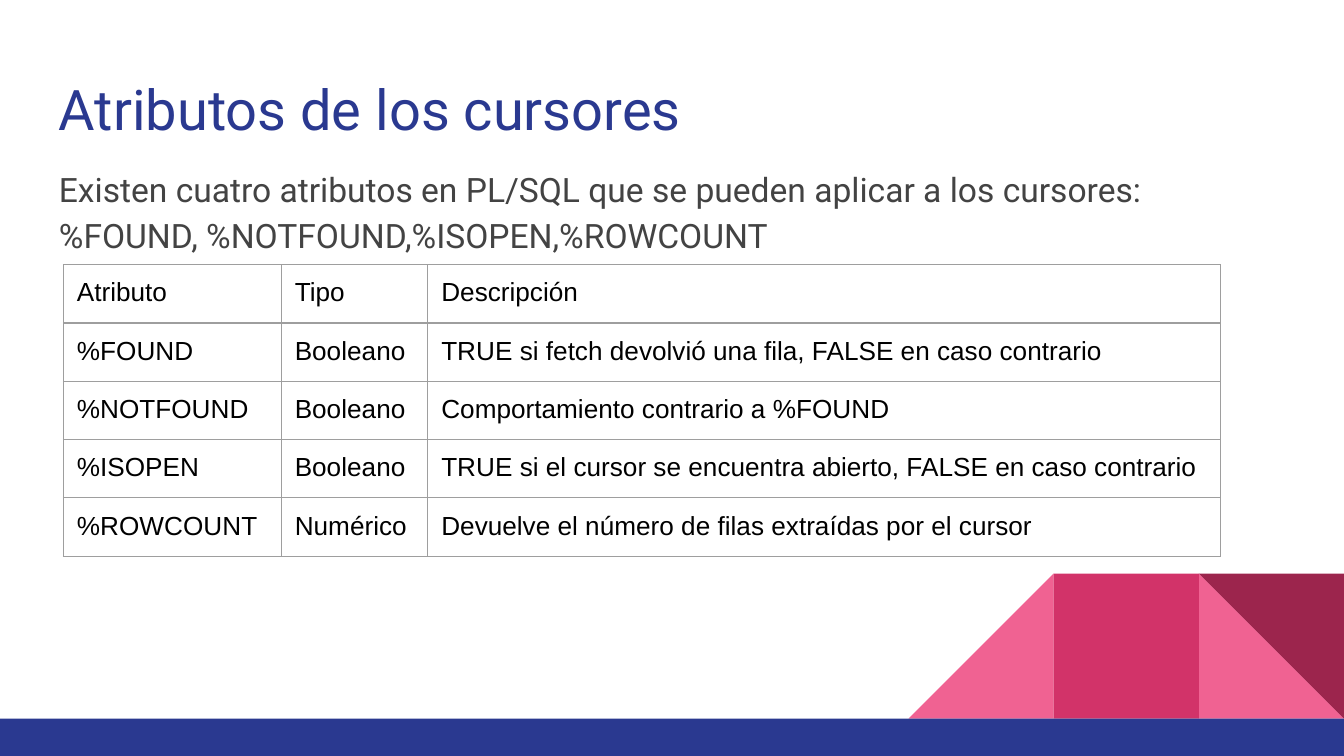
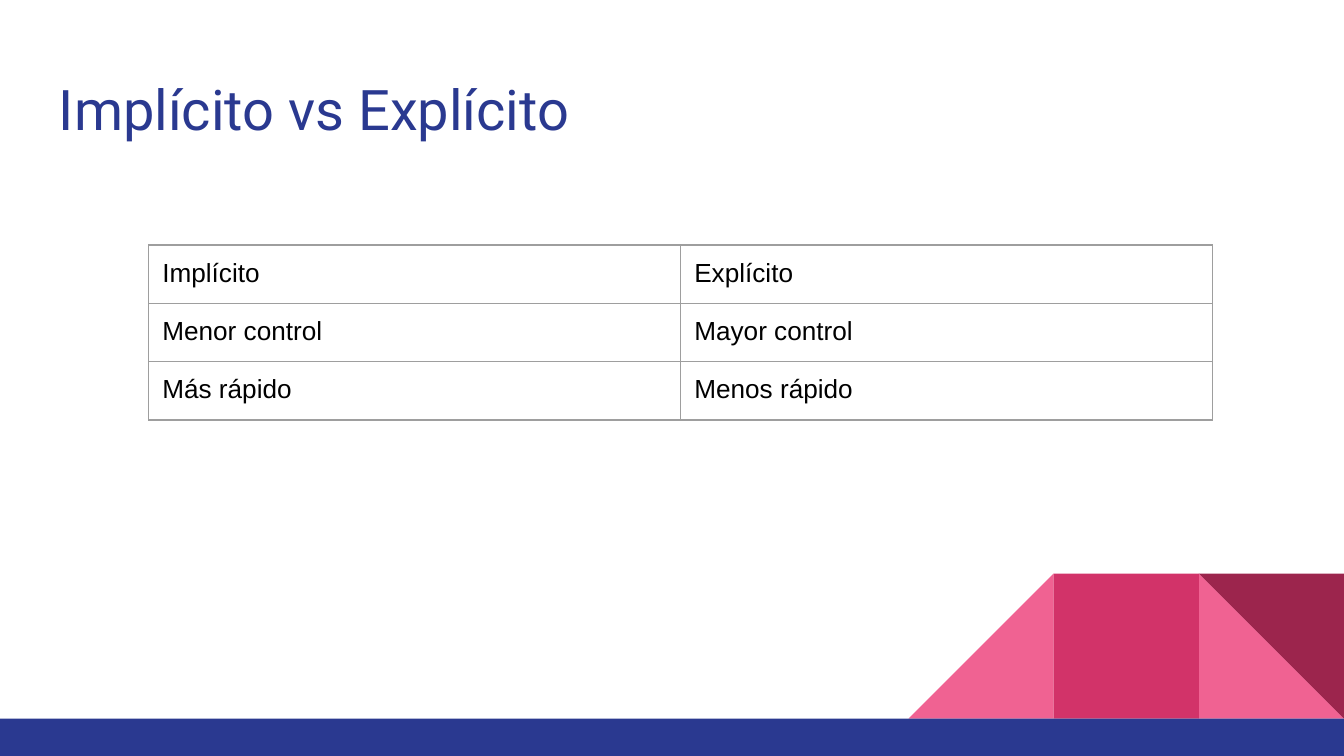
from pptx import Presentation
from pptx.dml.color import RGBColor
from pptx.enum.shapes import MSO_SHAPE
from pptx.oxml.ns import qn
from pptx.util import Pt
from lxml import etree

RECTANGLE = MSO_SHAPE.RECTANGLE
TRIANGLE = MSO_SHAPE.RIGHT_TRIANGLE

BLUE = RGBColor(0x2A, 0x39, 0x90)
PINK = RGBColor(0xF0, 0x62, 0x92)
CRIMSON = RGBColor(0xD2, 0x33, 0x69)
WINE = RGBColor(0x9C, 0x25, 0x4D)
GRAY = RGBColor(0x43, 0x43, 0x43)
BORDER = RGBColor(0x9E, 0x9E, 0x9E)
BLACK = RGBColor(0, 0, 0)

WIDTH, HEIGHT = 720, 405
BAND_TOP = 385
TILE = 77.75
INSET = 7.2
ROW_HEIGHT = 30
TEXT_LEFT, TEXT_WIDTH = 24.5, 671


class Deck:
    """Holds the shared style and the slide being built."""

    def __init__(self):
        self.presentation = Presentation()
        self.presentation.slide_width = Pt(WIDTH)
        self.presentation.slide_height = Pt(HEIGHT)
        self.slide = None

    def new_slide(self, title):
        self.slide = self.presentation.slides.add_slide(self.presentation.slide_layouts[6])
        self.decoration()
        self.text(title, 32.5, 47.5, 30, BLUE)

    def decoration(self):
        top = BAND_TOP - TILE
        left, middle, right = (WIDTH - count * TILE for count in (3, 2, 1))
        self.block(TRIANGLE, right, top, TILE, TILE, PINK)
        slope = self.block(TRIANGLE, left, top, TILE, TILE, PINK)
        slope.element.spPr.get_or_add_xfrm().set("flipH", "1")
        self.block(RECTANGLE, middle, top, TILE, TILE, CRIMSON)
        self.block(TRIANGLE, right, top, TILE, TILE, WINE).rotation = 180
        self.block(RECTANGLE, 0, BAND_TOP, WIDTH, HEIGHT - BAND_TOP, BLUE)

    def block(self, preset, left, top, width, height, color):
        block = self.slide.shapes.add_shape(preset, Pt(left), Pt(top), Pt(width), Pt(height))
        block.shadow.inherit = False
        block.fill.solid()
        block.fill.fore_color.rgb = color
        block.line.fill.background()
        return block

    def text(self, wording, top, height, size, color):
        box = self.slide.shapes.add_textbox(Pt(TEXT_LEFT), Pt(top), Pt(TEXT_WIDTH), Pt(height))
        frame = box.text_frame
        frame.word_wrap = True
        frame.margin_left = frame.margin_right = Pt(INSET)
        frame.margin_top = frame.margin_bottom = Pt(INSET)
        paragraph = frame.paragraphs[0]
        self.style_text(paragraph, wording, "Roboto", size, color)
        return paragraph

    def style_text(self, paragraph, wording, font, size, color):
        paragraph.text = wording
        paragraph.font.name = font
        paragraph.font.size = Pt(size)
        paragraph.font.color.rgb = color

    def table(self, left, top, widths, rows):
        table = self.slide.shapes.add_table(
            len(rows), len(widths), Pt(left), Pt(top),
            Pt(sum(widths)), Pt(ROW_HEIGHT * len(rows))).table
        table.first_row = table.horz_banding = False
        for column, width in zip(table.columns, widths):
            column.width = Pt(width)
        for row, wordings in zip(table.rows, rows):
            row.height = Pt(ROW_HEIGHT)
            for cell, wording in zip(row.cells, wordings):
                self.cell(cell, wording)

    def cell(self, cell, wording):
        cell.margin_left = cell.margin_right = Pt(INSET)
        cell.margin_top = cell.margin_bottom = Pt(INSET)
        self.style_text(cell.text_frame.paragraphs[0], wording, "Arial", 14, BLACK)
        properties = cell._tc.get_or_add_tcPr()
        for side in ("a:lnL", "a:lnR", "a:lnT", "a:lnB"):
            line = etree.SubElement(properties, qn(side), w=str(Pt(0.75)))
            fill = etree.SubElement(line, qn("a:solidFill"))
            etree.SubElement(fill, qn("a:srgbClr"), val=str(BORDER))
        cell.fill.background()

    def save(self):
        self.presentation.save("out.pptx")


def main():
    deck = Deck()

    deck.new_slide("Atributos de los cursores")
    intro = deck.text(
        "Existen cuatro atributos en PL/SQL que se pueden aplicar a los cursores: "
        "%FOUND, %NOTFOUND,%ISOPEN,%ROWCOUNT", 80, 263, 18, GRAY)
    intro.line_spacing = 1.15
    intro.space_after = Pt(16)
    deck.table(34, 141.75, (116.75, 78.5, 424.75), (
        ("Atributo", "Tipo", "Descripción"),
        ("%FOUND", "Booleano", "TRUE si fetch devolvió una fila, FALSE en caso contrario"),
        ("%NOTFOUND", "Booleano", "Comportamiento contrario a %FOUND"),
        ("%ISOPEN", "Booleano",
         "TRUE si el cursor se encuentra abierto, FALSE en caso contrario"),
        ("%ROWCOUNT", "Numérico", "Devuelve el número de filas extraídas por el cursor"),
    ))

    deck.new_slide("Implícito vs Explícito")
    deck.table(79.75, 131.25, (285, 285), (
        ("Implícito", "Explícito"),
        ("Menor control", "Mayor control"),
        ("Más rápido", "Menos rápido"),
    ))

    deck.save()


if __name__ == "__main__":
    main()
